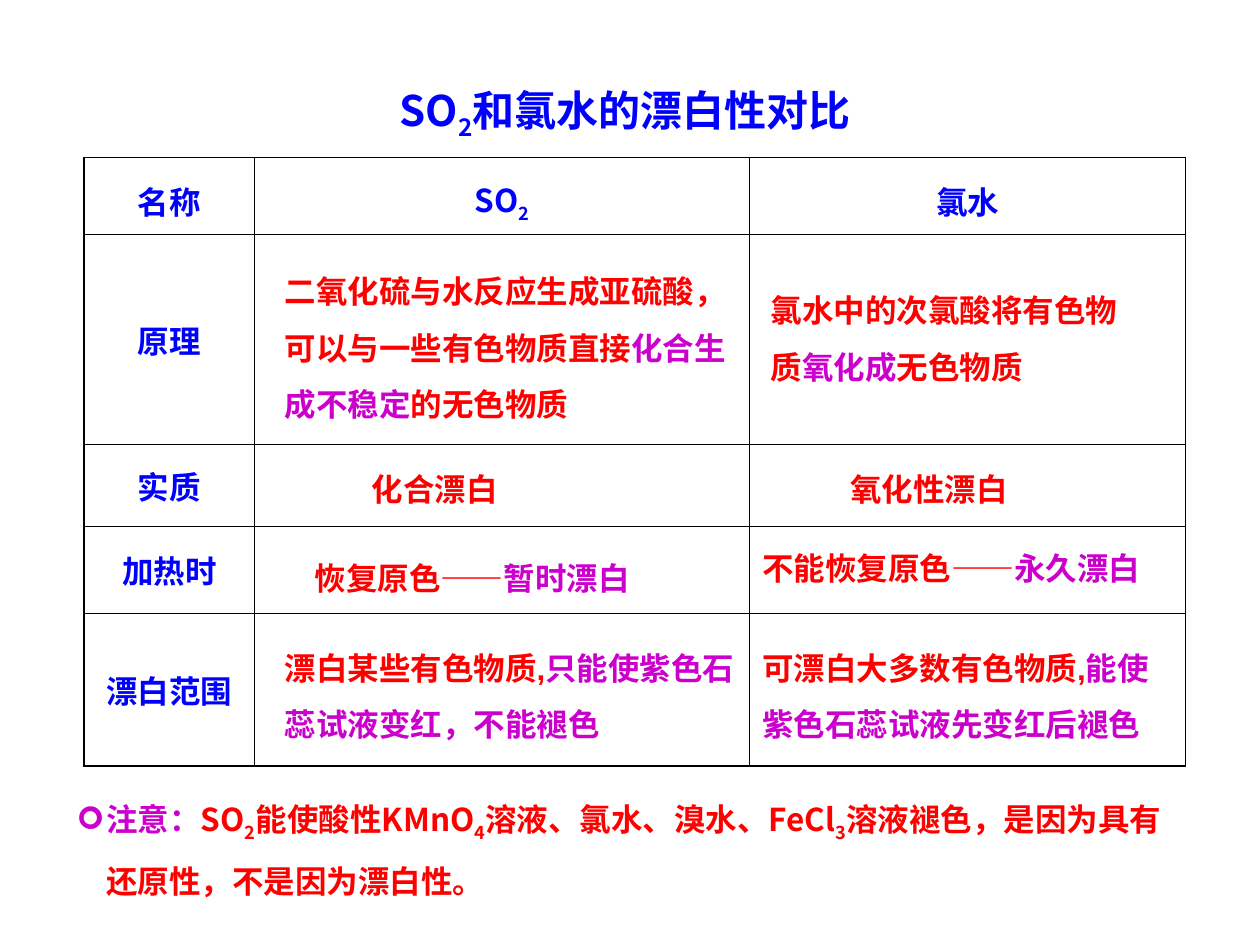
from lxml.etree import SubElement as Sub
from pptx import Presentation as Deck
from pptx.dml.color import RGBColor as Color
from pptx.enum.text import MSO_ANCHOR as Anchor, MSO_AUTO_SIZE as Auto, PP_ALIGN as Align
from pptx.oxml.ns import qn
from pptx.util import Pt

BLUE, RED, PINK, BLACK = "0000FF", "FF0000", "CC00CC", "000000"
SANS, ARIAL = "Noto Sans CJK SC", "Arial"
COLS = [97.2, 283, 249.1]
ROWS = [43.9, 120.2, 46.8, 49.7, 87.1]
THICK, THIN = 1.08, 0.45


def tint(hue):
    """Turn a hex string into a colour."""
    return Color.from_string(hue)


def write(para, runs, size=18, face=SANS):
    """Add bold runs of (text, colour[, "sub"]) to a paragraph."""
    for text, hue, *low in runs:
        run = para.add_run()
        run.text = text
        font = run.font
        font.size, font.bold, font.name = Pt(size), True, face
        font.color.rgb = tint(hue)
        props = run._r.get_or_add_rPr()
        Sub(props, qn("a:ea"), typeface=SANS)
        if low:
            props.set("baseline", "-25000")


def add_text(slide, spot, runs, size=18, face=SANS, space=1.5, align=Align.LEFT):
    """Add a wrapped text box and return its paragraph."""
    frame = slide.shapes.add_textbox(*map(Pt, spot)).text_frame
    frame.word_wrap = True
    frame.auto_size = Auto.SHAPE_TO_FIT_TEXT
    para = frame.paragraphs[0]
    para.alignment, para.line_spacing = align, space
    write(para, runs, size, face)
    return para


def add_mark(para, sign, hue, indent):
    """Give a paragraph a coloured bullet with a hanging indent."""
    props = para._p.get_or_add_pPr()
    props.set("marL", str(Pt(indent)))
    props.set("indent", str(-Pt(indent)))
    Sub(Sub(props, qn("a:buClr")), qn("a:srgbClr"), val=hue)
    Sub(props, qn("a:buFont"), typeface="Wingdings")
    Sub(props, qn("a:buChar"), char=sign)


def rule(cell, row, col):
    """Draw cell borders, thick along the rim of the table."""
    props = cell._tc.get_or_add_tcPr()
    rims = {"L": col == 0, "R": col == len(COLS) - 1,
            "T": row == 0, "B": row == len(ROWS) - 1}
    for side, rim in rims.items():
        line = Sub(props, qn("a:ln" + side), w=str(Pt(THICK if rim else THIN)))
        Sub(Sub(line, qn("a:solidFill")), qn("a:srgbClr"), val=BLACK)
    cell.fill.background()


def add_grid(slide, left, top, words):
    """Add the ruled table with its head row and label column."""
    shape = slide.shapes.add_table(len(ROWS), len(COLS), Pt(left), Pt(top),
                                   Pt(sum(COLS)), Pt(sum(ROWS)))
    grid = shape.table
    grid.first_row = grid.horz_banding = False
    for col, width in enumerate(COLS):
        grid.columns[col].width = Pt(width)
    for row, height in enumerate(ROWS):
        grid.rows[row].height = Pt(height)
        for col in range(len(COLS)):
            cell = grid.cell(row, col)
            rule(cell, row, col)
            cell.vertical_anchor = Anchor.MIDDLE
            para = cell.text_frame.paragraphs[0]
            para.alignment = Align.CENTER
            para.line_spacing = 1.2 if row == 0 else 1
            write(para, words.get((row, col), []))


def main():
    """Build the slide and save it."""
    deck = Deck()
    deck.slide_width, deck.slide_height = Pt(720), Pt(540)
    slide = deck.slides.add_slide(deck.slide_layouts[6])
    gas = [("SO", BLUE), ("2", BLUE, "sub")]
    labels = ["名称", "原理", "实质", "加热时", "漂白范围"]
    words = {(row, 0): [(text, BLUE)] for row, text in enumerate(labels)}
    words.update({(0, 1): gas, (0, 2): [("氯水", BLUE)]})
    add_grid(slide, 48.2, 90, words)
    add_text(slide, (212.4, 44.6, 289.4, 40.3), gas + [("和氯水的漂白性对比", BLUE)],
             size=24, space=1, align=Align.CENTER)

    facts = [
        ((155.5, 141.1, 272.2, 104.4), SANS,
         [("二氧化硫与水反应生成亚硫酸，可以与一些有色物质直接", RED),
          ("化合生成不稳定", PINK), ("的无色物质", RED)]),
        ((433.4, 151.9, 215.3, 72), SANS,
         [("氯水中的次氯酸将有色物质", RED), ("氧化成", PINK), ("无色物质", RED)]),
        ((205.2, 254.2, 148, 39.6), SANS, [("化合漂白", RED)]),
        ((478.8, 254.2, 130.3, 39.6), SANS, [("氧化性漂白", RED)]),
        ((172.8, 305.3, 221, 39.6), SANS, [("恢复原色——", RED), ("暂时漂白", PINK)]),
        ((428.4, 299.5, 244.1, 39.6), SANS,
         [("不能恢复原色——", RED), ("永久漂白", PINK)]),
        ((155.5, 356.4, 272.2, 72), ARIAL,
         [("漂白某些有色物质,", RED), ("只能使紫色石蕊试液变红，不能褪色", PINK)]),
        ((428.4, 356.4, 244.1, 72), ARIAL,
         [("可漂白大多数有色物质,", RED), ("能使紫色石蕊试液先变红后褪色", PINK)]),
    ]
    for spot, face, runs in facts:
        add_text(slide, spot, runs, face=face)

    note = add_text(slide, (36.7, 441.4, 646.6, 76.3), [
        ("注意：", PINK), ("SO", RED), ("2", RED, "sub"),
        ("能使酸性KMnO", RED), ("4", RED, "sub"),
        ("溶液、氯水、溴水、FeCl", RED), ("3", RED, "sub"),
        ("溶液褪色，是因为具有还原性，不是因为漂白性。", RED)])
    add_mark(note, "➢", PINK, 17)
    deck.save("out.pptx")


if __name__ == "__main__":
    main()
